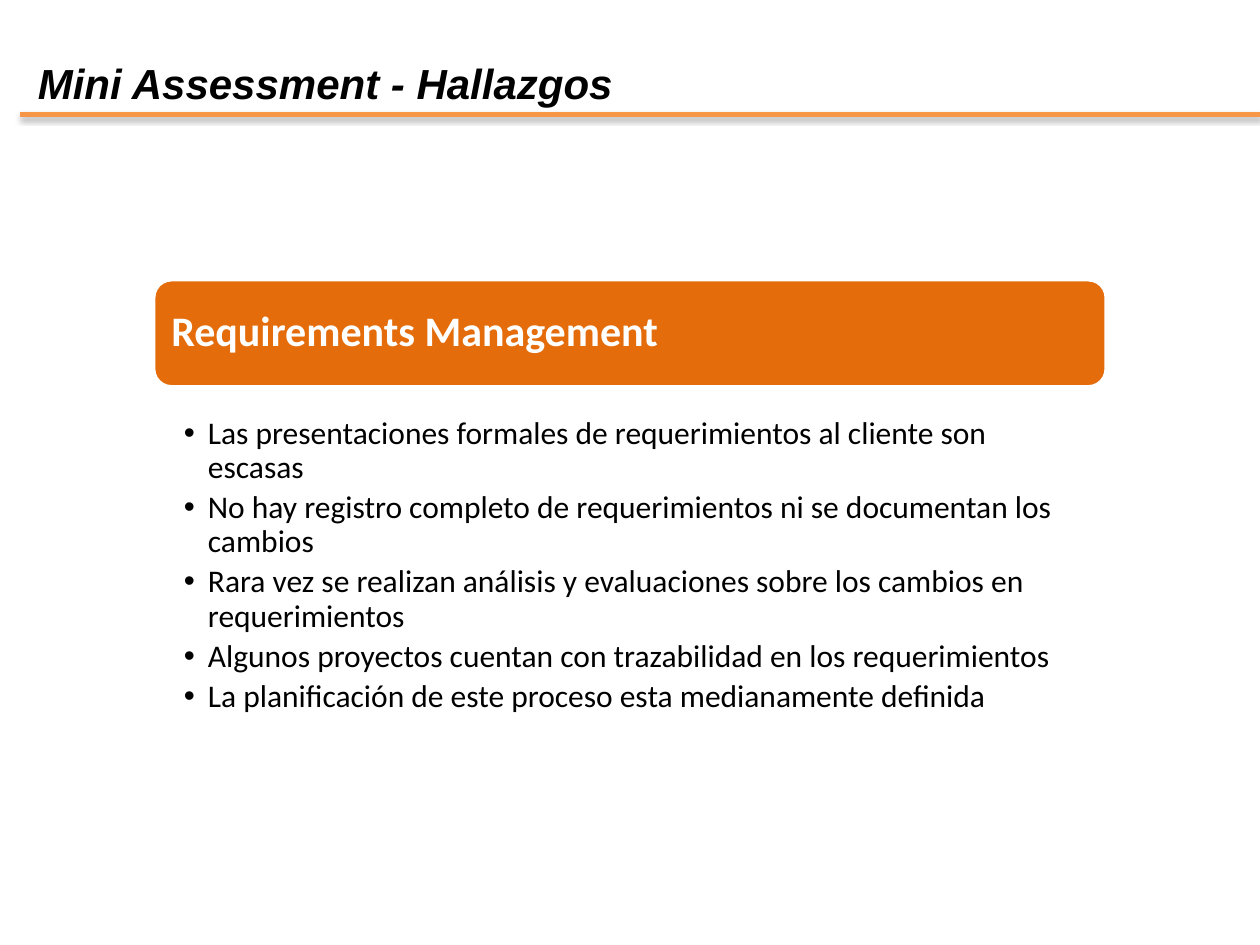
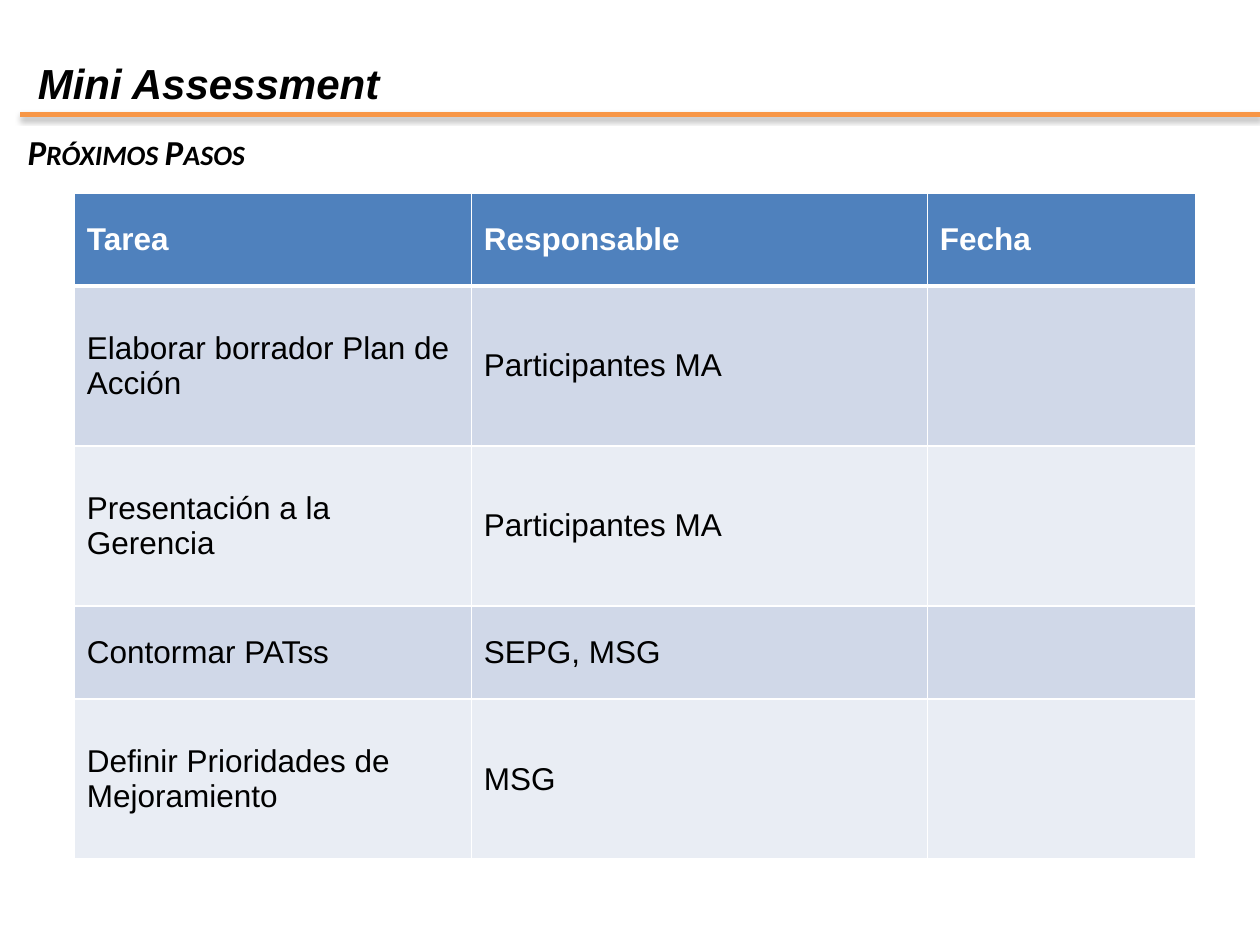
from lxml.etree import SubElement
from pptx import Presentation
from pptx.dml.color import RGBColor
from pptx.enum.shapes import MSO_CONNECTOR, MSO_SHAPE
from pptx.enum.text import MSO_ANCHOR, MSO_AUTO_SIZE, PP_ALIGN
from pptx.oxml import parse_xml
from pptx.oxml.ns import nsdecls, qn
from pptx.util import Inches, Pt

COLORS = {
    "text": "000000",
    "white": "FFFFFF",
    "rule": "F79646",
    "band": "E46C0A",
    "header": "4F81BD",
    "odd_row": "D0D8E8",
    "even_row": "E9EDF4",
}
TITLE_AND_BODY, TITLE_ONLY = 1, 5

FINDINGS_TITLE = "Mini Assessment - Hallazgos"
FINDINGS_AREA = "Requirements Management"
FINDINGS = [
    "Las presentaciones formales de requerimientos al cliente son escasas",
    "No hay registro completo de requerimientos ni se documentan los cambios",
    "Rara vez se realizan análisis y evaluaciones sobre los cambios en requerimientos",
    "Algunos proyectos cuentan con trazabilidad en los requerimientos",
    "La planificación de este proceso esta medianamente definida",
]

STEPS_TITLE = "Mini Assessment"
STEPS_SUBTITLE = "Próximos Pasos"
STEPS = [
    ("Tarea", "Responsable", "Fecha"),
    ("Elaborar borrador Plan de Acción", "Participantes MA", ""),
    ("Presentación a la Gerencia", "Participantes MA", ""),
    ("Contormar PATss", "SEPG, MSG", ""),
    ("Definir Prioridades de Mejoramiento", "MSG", ""),
]
COLUMN_WIDTHS = [3.15, 3.62, 2.13]
SHORT_ROW, TALL_ROW = 0.74, 1.27
ROW_HEIGHTS = [SHORT_ROW, TALL_ROW, TALL_ROW, SHORT_ROW, TALL_ROW]


def rgb(name):
    return RGBColor.from_string(COLORS[name])


def place(shape, left, top, width, height):
    shape.left, shape.top = Inches(left), Inches(top)
    shape.width, shape.height = Inches(width), Inches(height)


def set_margins(frame, left, top, right, bottom):
    frame.margin_left, frame.margin_top = Inches(left), Inches(top)
    frame.margin_right, frame.margin_bottom = Inches(right), Inches(bottom)


def style_text(frame, size, name, color="text", bold=False, italic=False):
    for paragraph in frame.paragraphs:
        paragraph.alignment = PP_ALIGN.LEFT
        for run in paragraph.runs:
            font = run.font
            font.size, font.name = Pt(size), name
            font.bold, font.italic = bold, italic
            font.color.rgb = rgb(color)


def add_rule(slide):
    rule = slide.shapes.add_connector(
        MSO_CONNECTOR.STRAIGHT, Inches(0.16), Inches(0.91), Inches(10), Inches(0.91))
    rule.line.color.rgb = rgb("rule")
    rule.line.width = Pt(3)
    rule._element.spPr.append(parse_xml(
        f'<a:effectLst {nsdecls("a")}>'
        f'<a:outerShdw blurRad="{Pt(3.1)}" dist="{Pt(1.8)}" dir="5400000" rotWithShape="0">'
        f'<a:srgbClr val="{COLORS["text"]}"><a:alpha val="35000"/></a:srgbClr>'
        '</a:outerShdw></a:effectLst>'))


def add_titled_slide(presentation, layout, title_text):
    slide = presentation.slides.add_slide(presentation.slide_layouts[layout])
    add_rule(slide)
    title = slide.shapes.title
    place(title, 0.2, 0.41, 7.01, 0.51)
    frame = title.text_frame
    frame.text = title_text
    frame.auto_size = MSO_AUTO_SIZE.NONE
    frame.vertical_anchor = MSO_ANCHOR.TOP
    style_text(frame, 24, "Arial", bold=True, italic=True)
    return slide


def add_area_band(slide, text):
    band = slide.shapes.add_shape(
        MSO_SHAPE.ROUNDED_RECTANGLE, Inches(1.22), Inches(2.22), Inches(7.56), Inches(0.85))
    band.shadow.inherit = False
    band.fill.solid()
    band.fill.fore_color.rgb = rgb("band")
    band.line.color.rgb = rgb("white")
    band.line.width = Pt(2)
    frame = band.text_frame
    frame.text = text
    frame.word_wrap = True
    frame.vertical_anchor = MSO_ANCHOR.MIDDLE
    set_margins(frame, 0.1, 0.1, 0.1, 0.1)
    frame.paragraphs[0].line_spacing = 0.9
    style_text(frame, 24, "Calibri", "white", bold=True)


def fill_bullets(body, items):
    place(body, 1.22, 3.28, 7.56, 2.5)
    frame = body.text_frame
    frame.text = "\n".join(items)
    frame.auto_size = MSO_AUTO_SIZE.NONE
    set_margins(frame, 0.24, 0.03, 0.14, 0.03)
    for paragraph in frame.paragraphs:
        properties = paragraph._p.get_or_add_pPr()
        properties.set("marL", str(Inches(0.19)))
        properties.set("indent", str(-Inches(0.19)))
        SubElement(properties, qn("a:buChar"), char="•")
        paragraph.line_spacing = 0.9
        paragraph.space_before = Pt(0)
        paragraph.space_after = Pt(3.6)
    style_text(frame, 18, "Calibri")


def add_subtitle(slide, text):
    subtitle = slide.shapes.add_textbox(Inches(0.12), Inches(0.99), Inches(9.69), Inches(0.48))
    frame = subtitle.text_frame
    frame.word_wrap = True
    frame.text = text
    style_text(frame, 20, "Calibri", bold=True, italic=True)
    frame.paragraphs[0].runs[0]._r.get_or_add_rPr().set("cap", "small")


def set_borders(cell, top, bottom):
    properties = cell._tc.get_or_add_tcPr()
    for side, width in (("L", 1), ("R", 1), ("T", top), ("B", bottom)):
        border = SubElement(properties, qn(f"a:ln{side}"), w=str(Pt(width)))
        fill = SubElement(border, qn("a:solidFill"))
        SubElement(fill, qn("a:srgbClr"), val=COLORS["white"])


def add_steps_table(slide, rows):
    table = slide.shapes.add_table(
        len(rows), len(COLUMN_WIDTHS), Inches(0.59), Inches(1.53),
        Inches(sum(COLUMN_WIDTHS)), Inches(sum(ROW_HEIGHTS))).table
    for column, width in zip(table.columns, COLUMN_WIDTHS):
        column.width = Inches(width)
    for row_index, (row, height, texts) in enumerate(zip(table.rows, ROW_HEIGHTS, rows)):
        row.height = Inches(height)
        is_header = row_index == 0
        fill = "header" if is_header else "odd_row" if row_index % 2 else "even_row"
        for cell, text in zip(row.cells, texts):
            set_borders(cell, 3 if row_index == 1 else 1, 3 if is_header else 1)
            cell.fill.solid()
            cell.fill.fore_color.rgb = rgb(fill)
            cell.vertical_anchor = MSO_ANCHOR.MIDDLE
            cell.text_frame.text = text
            style_text(cell.text_frame, 18, "Arial", "white" if is_header else "text", is_header)


def main():
    presentation = Presentation()
    presentation.slide_width, presentation.slide_height = Inches(10), Inches(7.5)

    findings = add_titled_slide(presentation, TITLE_AND_BODY, FINDINGS_TITLE)
    add_area_band(findings, FINDINGS_AREA)
    fill_bullets(findings.placeholders[1], FINDINGS)

    steps = add_titled_slide(presentation, TITLE_ONLY, STEPS_TITLE)
    add_subtitle(steps, STEPS_SUBTITLE)
    add_steps_table(steps, STEPS)

    presentation.save("out.pptx")


if __name__ == "__main__":
    main()
